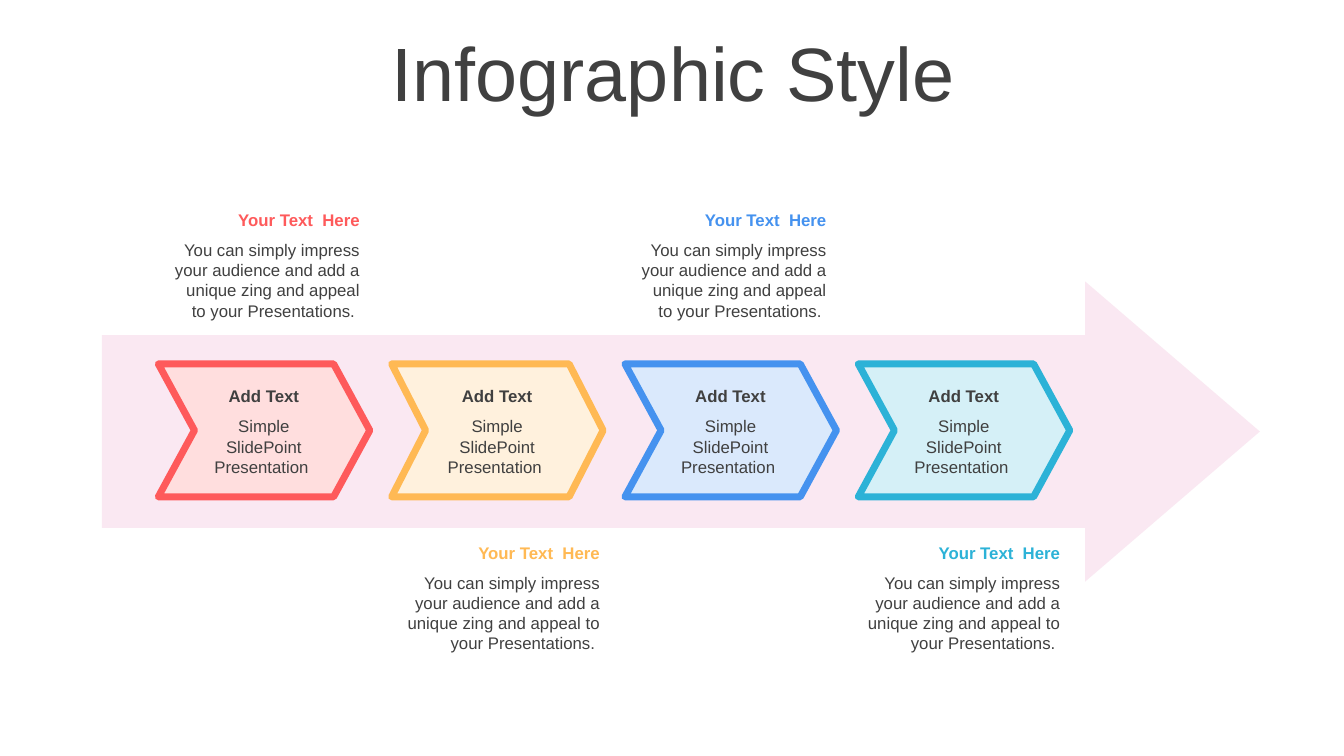
"""Build a slide with four chevron steps on a wide arrow."""
from pptx import Presentation
from pptx.dml.color import RGBColor
from pptx.enum.shapes import MSO_SHAPE
from pptx.enum.text import MSO_ANCHOR, PP_ALIGN
from pptx.util import Cm, Pt

DARK = "404040"
STEP_TEXT = "Simple SlidePoint Presentation "
NOTE_TEXT = ("You can simply impress your audience and add a unique zing "
             "and appeal to your Presentations. ")


def add_shape(kind, left, top, width, height, adjustments, fill, line=None):
    sp = s.shapes.add_shape(kind, Cm(left), Cm(top), Cm(width), Cm(height))
    sp.shadow.inherit = False
    for i, value in enumerate(adjustments):
        sp.adjustments[i] = value
    sp.fill.solid()
    sp.fill.fore_color.rgb = RGBColor.from_string(fill)
    if line:
        sp.line.color.rgb = RGBColor.from_string(line)
        sp.line.width = Pt(5)
    else:
        sp.line.fill.background()


def add_text(text, left, top, width, height, align, color=DARK, size=12, bold=False):
    tf = s.shapes.add_textbox(Cm(left), Cm(top), Cm(width), Cm(height)).text_frame
    tf.word_wrap = True
    tf.text = text
    p = tf.paragraphs[0]
    p.alignment = align
    font = p.runs[0].font
    font.name = "Arial"
    font.size = Pt(size)
    font.bold = bold
    font.color.rgb = RGBColor.from_string(color)
    return tf


prs = Presentation()
prs.slide_width, prs.slide_height = Cm(33.87), Cm(19.05)
s = prs.slides.add_slide(prs.slide_layouts[6])

title = add_text("Infographic Style", 0.89, 0.94, 32.16, 2.01, PP_ALIGN.CENTER, size=54)
title.vertical_anchor = MSO_ANCHOR.MIDDLE
title.paragraphs[0].line_spacing = 0.9

add_shape(MSO_SHAPE.RIGHT_ARROW, 2.57, 7.09, 29.18, 7.57, (0.641, 0.582), "FAE8F2")

steps = [
    ("FE5A5B", "FFDEDE", 0.272, 4.11, 5.21, 5.16),
    ("FFB954", "FFF1DD", 0.256, 9.86, 5.51, 13.54),
    ("4592EF", "DAE9FC", 0.272, 15.85, 5.23, 5.16),
    ("2CB2D7", "D5F0F7", 0.272, 21.56, 5.41, 13.54),
]
for i, (color, tint, notch, note_left, note_width, note_top) in enumerate(steps):
    left = 3.99 + i * 5.88
    add_shape(MSO_SHAPE.CHEVRON, left, 9.17, 5.33, 3.35, (notch,), tint, color)
    add_text("Add Text", left + 0.88, 9.6, 3.56, 0.76, PP_ALIGN.CENTER, bold=True)
    add_text(STEP_TEXT, left + 0.88, 10.36, 3.56, 1.8, PP_ALIGN.CENTER)
    add_text("Your Text  Here", note_left, note_top, note_width, 0.76,
             PP_ALIGN.RIGHT, color, bold=True)
    add_text(NOTE_TEXT, note_left, note_top + 0.76, note_width, 2.31, PP_ALIGN.RIGHT)

prs.save("out.pptx")
